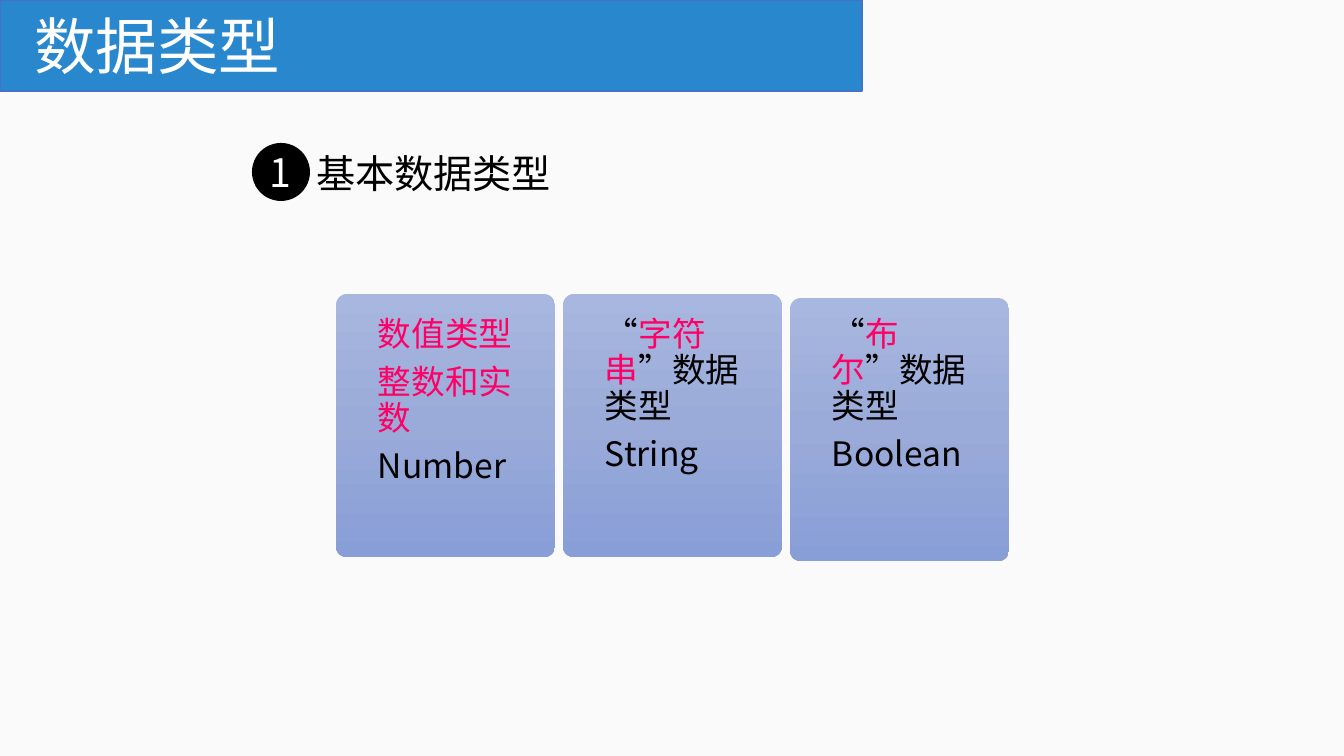
from dataclasses import dataclass

from lxml.etree import SubElement
from pptx import Presentation
from pptx.dml.color import RGBColor
from pptx.enum.lang import MSO_LANGUAGE_ID as Language
from pptx.enum.shapes import MSO_SHAPE as Shape
from pptx.enum.text import MSO_ANCHOR as Anchor, PP_ALIGN as Align
from pptx.oxml.ns import qn
from pptx.util import Pt

PX = 9071.43  # EMU per px at 100.8 px to the inch


@dataclass(frozen=True)
class Theme:
    font: str = "Noto Sans CJK SC"
    background: str = "FAFAFA"
    banner: str = "2987CD"
    banner_line: str = "4472C4"
    ink: str = "000000"
    paper: str = "FFFFFF"
    accent: str = "FF0066"
    card_stops: tuple = ((0, "A8B7DF"), (50, "9AABD9"), (100, "889ED7"))
    title_size: int = 44
    heading_size: int = 28
    card_size: int = 24


class SlideBuilder:
    def __init__(self, slide, theme):
        self.slide = slide
        self.theme = theme
        fill = slide.background.fill
        fill.solid()
        fill.fore_color.rgb = RGBColor.from_string(theme.background)

    def box(self, *lengths):
        return [round(length * PX) for length in lengths]

    def shape(self, kind, bounds, color, line=None):
        shape = self.slide.shapes.add_shape(kind, *self.box(*bounds))
        shape.shadow.inherit = False
        shape.fill.solid()
        shape.fill.fore_color.rgb = RGBColor.from_string(color)
        if line:
            shape.line.color.rgb = RGBColor.from_string(line)
            shape.line.width = Pt(1)
        else:
            shape.line.fill.background()
        return shape

    def card(self, bounds):
        shape = self.shape(Shape.ROUNDED_RECTANGLE, bounds, self.theme.ink)
        shape.adjustments[0] = 0.05
        # Three-stop vertical gradient
        shape.fill.gradient()
        gradient = shape.element.spPr.find(qn("a:gradFill"))
        for child in list(gradient):
            gradient.remove(child)
        stops = SubElement(gradient, qn("a:gsLst"))
        for position, color in self.theme.card_stops:
            stop = SubElement(stops, qn("a:gs"), pos=str(position * 1000))
            SubElement(stop, qn("a:srgbClr"), val=color)
        SubElement(gradient, qn("a:lin"), ang="5400000", scaled="0")

    def style(self, font, size, color):
        font.size = Pt(size)
        font.name = self.theme.font
        font.language_id = Language.SIMPLIFIED_CHINESE
        font.color.rgb = RGBColor.from_string(color)
        SubElement(font._element, qn("a:ea"), typeface=self.theme.font)

    def text(self, bounds, paragraphs, size, insets=(10, 5, 10, 5), wrap=True,
             anchor=Anchor.TOP, align=Align.LEFT, spacing=1.0, after=0):
        """Each paragraph is a list of (text, color) runs."""
        frame = self.slide.shapes.add_textbox(*self.box(*bounds)).text_frame
        frame.word_wrap = wrap
        frame.vertical_anchor = anchor
        (frame.margin_left, frame.margin_top,
         frame.margin_right, frame.margin_bottom) = self.box(*insets)
        for index, runs in enumerate(paragraphs):
            paragraph = frame.add_paragraph() if index else frame.paragraphs[0]
            paragraph.alignment = align
            paragraph.line_spacing = spacing
            paragraph.space_after = Pt(after)
            if len(runs) == 1:
                self.style(paragraph.font, size, runs[0][1])
            for content, color in runs:
                run = paragraph.add_run()
                run.text = content
                if len(runs) > 1:
                    self.style(run.font, size, color)


def main():
    theme = Theme()
    presentation = Presentation()
    presentation.slide_width = round(1344 * PX)
    presentation.slide_height = round(756 * PX)
    slide = presentation.slides.add_slide(presentation.slide_layouts[6])
    builder = SlideBuilder(slide, theme)

    # Title banner
    builder.shape(Shape.RECTANGLE, (0, 0, 862, 91), theme.banner, theme.banner_line)
    builder.text((24, 20, 1159, 60), [[("数据类型", theme.paper)]], theme.title_size,
                 anchor=Anchor.MIDDLE, spacing=0.9)

    # Numbered heading
    builder.shape(Shape.OVAL, (252, 143, 58, 58), theme.ink)
    builder.text((260, 143, 42, 57), [[("1", theme.paper)]], theme.heading_size)
    builder.text((306, 144, 258, 57), [[("基本数据类型", theme.ink)]],
                 theme.heading_size, wrap=False)

    # Type cards: top edge and paragraphs
    def quoted(word):
        return [("“", theme.ink), (word, theme.accent), ("”数据类型", theme.ink)]

    cards = [
        (294, [[("数值类型", theme.accent)], [("整数和实数", theme.accent)],
               [("Number", theme.ink)]]),
        (294, [quoted("字符串"), [("String", theme.ink)]]),
        (298, [quoted("布尔"), [("Boolean", theme.ink)]]),
    ]
    for column, (top, paragraphs) in enumerate(cards):
        left = 336 + column * 227
        builder.card((left, top, 219, 263))
        builder.text((left + 42, 308, 163, 263), paragraphs, theme.card_size,
                     insets=(0, 9, 0, 0), spacing=0.9, after=8.4)

    presentation.save("out.pptx")


if __name__ == "__main__":
    main()
